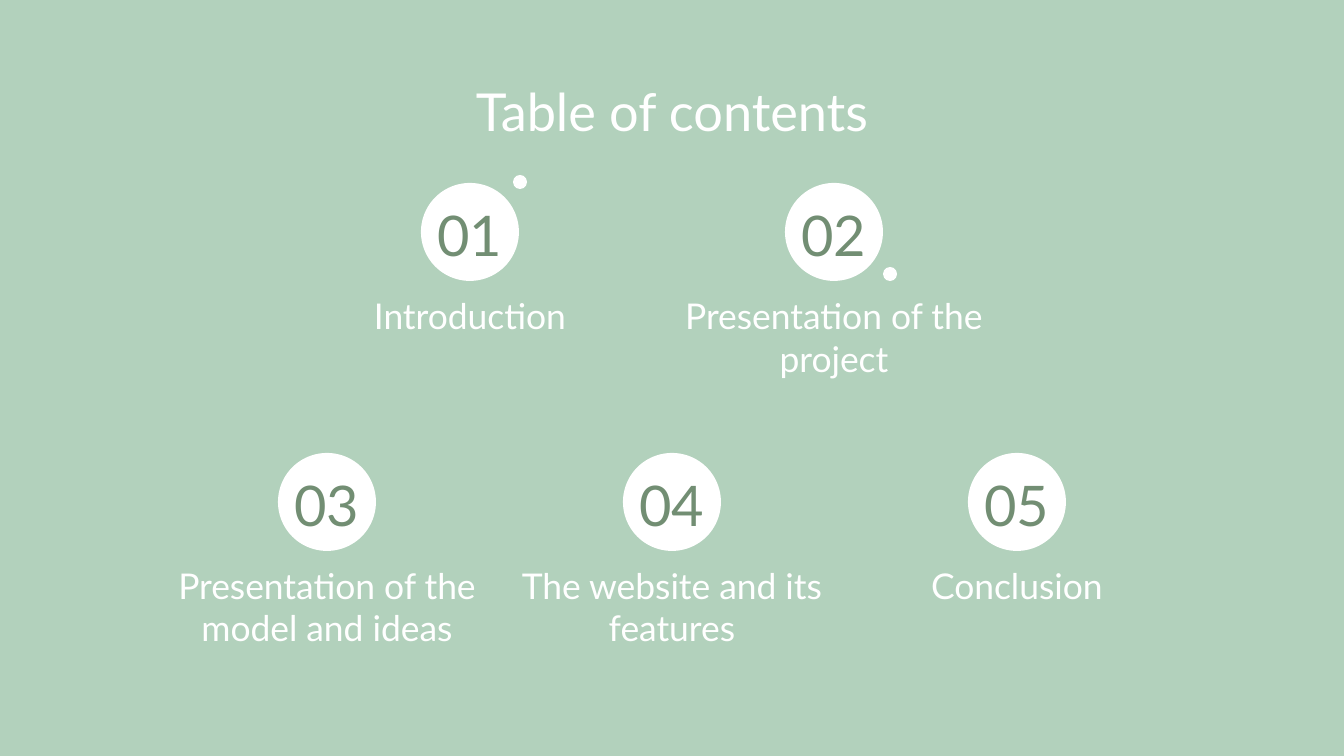
from pptx import Presentation
from pptx.dml.color import RGBColor
from pptx.enum.shapes import MSO_SHAPE as Shape
from pptx.enum.text import MSO_ANCHOR as Anchor, MSO_AUTO_SIZE as AutoSize, PP_ALIGN as Align
from pptx.util import Emu, Pt

SCALE = 9144000 / 1344
SAGE, WHITE, GREEN = "B2D1BC", "FFFFFF", "728E73"
DISC, DOT = 98, 14
FIRST_ROW, SECOND_ROW = 183, 453

# number, label, disc centre, disc top, label width, label height
ENTRIES = [
    ("01", "Introduction", 470, FIRST_ROW, 356, 106),
    ("02", "Presentation of the project", 834, FIRST_ROW, 356, 106),
    ("03", "Presentation of the model and ideas", 327, SECOND_ROW, 370, 62),
    ("04", "The website and its features", 672, SECOND_ROW, 356, 106),
    ("05", "Conclusion", 1017, SECOND_ROW, 227, 62),
]
DOTS = [(513, 175), (883, 267)]


def px(length):
    """Turn pixels into EMU."""
    return Emu(round(length * SCALE))


def color(value):
    """Turn a hex string into a colour."""
    return RGBColor.from_string(value)


def write(holder, text, size, ink, anchor=Anchor.TOP):
    """Put centred Lato text into a box or placeholder."""
    frame = holder.text_frame
    frame.text = text
    frame.word_wrap = True
    frame.auto_size = AutoSize.NONE
    frame.vertical_anchor = anchor
    frame.margin_left = frame.margin_right = px(13)
    frame.margin_top = frame.margin_bottom = px(13)
    paragraph = frame.paragraphs[0]
    paragraph.alignment = Align.CENTER
    font = paragraph.runs[0].font
    font.name, font.size = "Lato", Pt(size)
    font.color.rgb = color(ink)


def add_disc(slide, left, top, diameter):
    """Draw a plain white circle."""
    disc = slide.shapes.add_shape(Shape.OVAL, px(left), px(top), px(diameter), px(diameter))
    disc.shadow.inherit = False
    disc.fill.solid()
    disc.fill.fore_color.rgb = color(WHITE)
    disc.line.fill.background()


def add_label(slide, box, *style):
    """Add a text box at left, top, width, height."""
    write(slide.shapes.add_textbox(*map(px, box)), *style)


def add_heading(slide, left, top, width, height):
    """Place and format the slide title."""
    title = slide.shapes.title
    title.left, title.top, title.width, title.height = map(px, (left, top, width, height))
    write(title, "Table of contents", 28, WHITE)


def add_entry(slide, number, label, center, top, width, height):
    """Place a numbered disc with its label centred underneath."""
    left = center - DISC / 2
    add_disc(slide, left, top, DISC)
    add_label(slide, (left, top, DISC, DISC), number, 30, GREEN, Anchor.BOTTOM)
    add_label(slide, (center - width / 2, top + DISC, width, height), label, 19, WHITE)


def build_contents(prs):
    """Build the table of contents slide."""
    slide = prs.slides.add_slide(prs.slide_layouts.get_by_name("Title Only"))
    slide.background.fill.solid()
    slide.background.fill.fore_color.rgb = color(SAGE)
    add_heading(slide, 46, 66, 1252, 84)
    for entry in ENTRIES:
        add_entry(slide, *entry)
    for left, top in DOTS:
        add_disc(slide, left, top, DOT)


prs = Presentation()
prs.slide_width, prs.slide_height = px(1344), px(756)
build_contents(prs)
prs.save("out.pptx")
